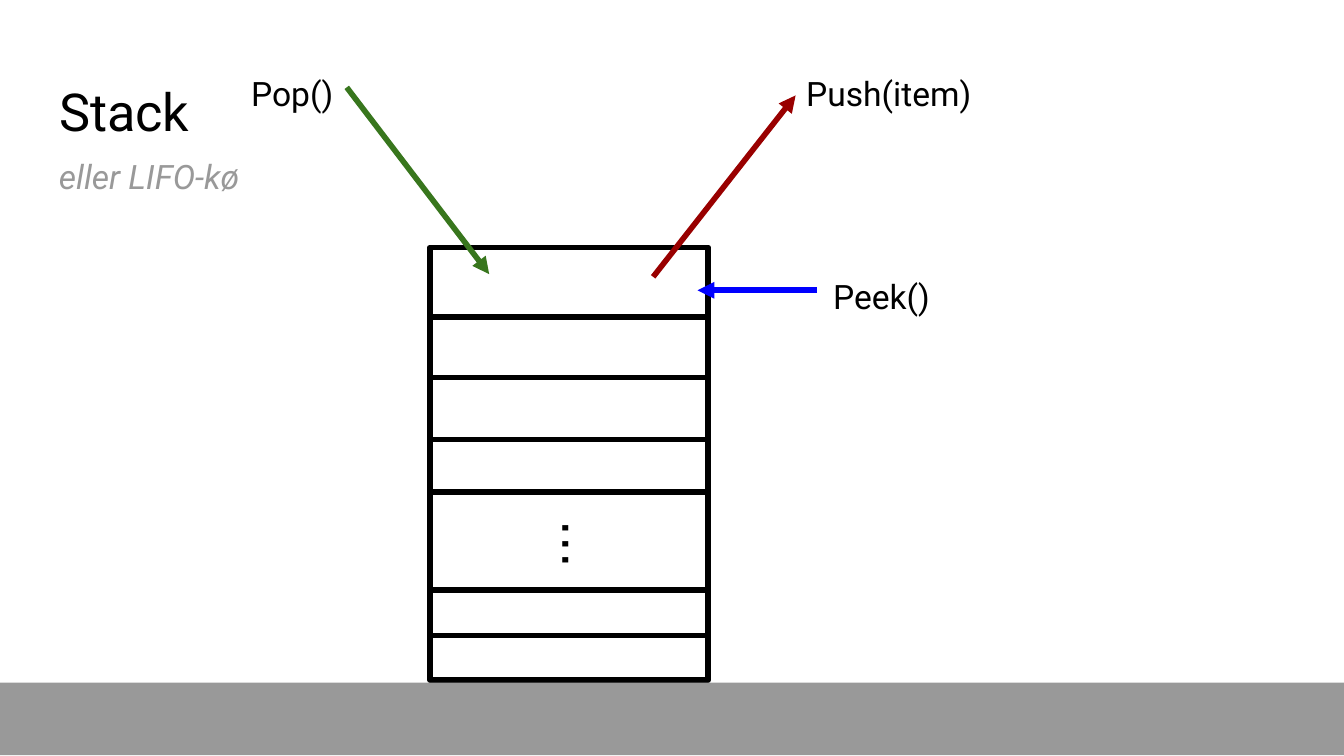
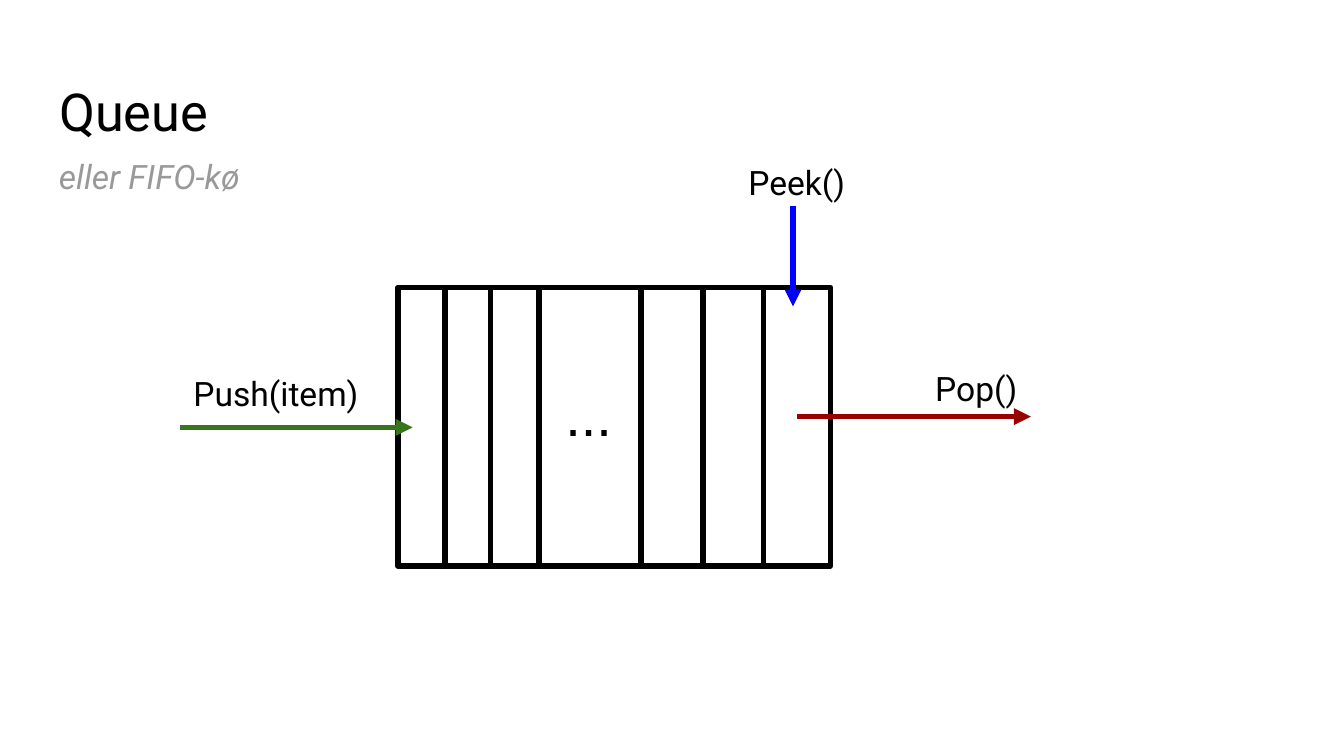
from typing import NamedTuple

from pptx import Presentation
from pptx.dml.color import RGBColor
from pptx.enum.shapes import MSO_CONNECTOR, MSO_SHAPE
from pptx.enum.text import MSO_ANCHOR, MSO_AUTO_SIZE, PP_ALIGN
from pptx.oxml.ns import qn
from pptx.util import Emu, Pt
from lxml.etree import SubElement

PX = 9144  # EMU per px, 100 px to the inch
INSET = 10
LINE_WIDTH = Pt(3)
BODY_FONT = "Roboto"
DOTS_FONT = "Arial"

BLACK = RGBColor(0x00, 0x00, 0x00)
GRAY = RGBColor(0x99, 0x99, 0x99)
GREEN = RGBColor(0x38, 0x76, 0x1D)
RED = RGBColor(0x99, 0x00, 0x00)
BLUE = RGBColor(0x00, 0x00, 0xFF)


class Box(NamedTuple):
    x: int
    y: int
    w: int
    h: int


class Operation(NamedTuple):
    label: str
    label_box: Box
    start: tuple[int, int]
    end: tuple[int, int]
    color: RGBColor


class Diagram(NamedTuple):
    title: str
    subtitle: str
    subtitle_box: Box
    container: Box
    cuts: list[int]
    vertical: bool
    dots_box: Box
    operations: list[Operation]


TITLE_BOX = Box(34, 49, 932, 63)
FLOOR = Box(0, 508, 1000, 54)

STACK = Diagram(
    "Stack", "eller LIFO-kø", Box(34, 106, 224, 63),
    container=Box(320, 184, 207, 322),
    cuts=[236, 281, 327, 366, 439, 473],
    vertical=True,
    dots_box=Box(390, 378, 106, 54),
    operations=[
        Operation("Pop()", Box(177, 40, 90, 48), (258, 65), (364, 204), GREEN),
        Operation("Push(item)", Box(590, 40, 151, 48), (486, 206), (592, 71), RED),
        Operation("Peek()", Box(610, 191, 112, 48), (608, 216), (519, 216), BLUE),
    ],
)
QUEUE = Diagram(
    "Queue", "eller FIFO-kø", Box(34, 106, 932, 63),
    container=Box(296, 214, 322, 207),
    cuts=[331, 365, 401, 477, 523, 568],
    vertical=False,
    dots_box=Box(385, 273, 106, 54),
    operations=[
        Operation("Push(item)", Box(134, 263, 151, 48), (134, 318), (307, 318), GREEN),
        Operation("Pop()", Box(686, 259, 86, 54), (593, 310), (767, 310), RED),
        Operation("Peek()", Box(547, 106, 112, 48), (590, 153), (590, 228), BLUE),
    ],
)


def emu(*lengths: int) -> list[Emu]:
    return [Emu(length * PX) for length in lengths]


def write(sp, text: str, *, size: int, color: RGBColor = BLACK, font: str = BODY_FONT,
          italic: bool = False, align=PP_ALIGN.LEFT,
          line_spacing: float = 1.0, space_after: int = 0) -> None:
    tf = sp.text_frame
    tf.word_wrap = True
    tf.auto_size = MSO_AUTO_SIZE.NONE
    tf.vertical_anchor = MSO_ANCHOR.TOP
    tf.margin_left = tf.margin_top = tf.margin_right = tf.margin_bottom = Emu(INSET * PX)
    p = tf.paragraphs[0]
    p.alignment = align
    p.line_spacing = line_spacing
    p.space_after = Pt(space_after)
    r = p.add_run()
    r.text = text
    r.font.name = font
    r.font.size = Pt(size)
    r.font.italic = italic
    r.font.color.rgb = color


def add_text(s, box: Box, text: str, **style):
    sp = s.shapes.add_textbox(*emu(*box))
    write(sp, text, **style)
    return sp


def add_title(s, text: str) -> None:
    sp = s.shapes.title
    sp.left, sp.top, sp.width, sp.height = emu(*TITLE_BOX)
    write(sp, text, size=28)


def add_rect(s, box: Box):
    sp = s.shapes.add_shape(MSO_SHAPE.RECTANGLE, *emu(*box))
    sp.shadow.inherit = False
    return sp


def add_line(s, start: tuple[int, int], end: tuple[int, int],
             color: RGBColor = BLACK, arrow: bool = False) -> None:
    line = s.shapes.add_connector(MSO_CONNECTOR.STRAIGHT, *emu(*start, *end))
    line.line.color.rgb = color
    line.line.width = LINE_WIDTH
    if arrow:
        SubElement(line.get_or_add_ln(), qn("a:tailEnd"), type="triangle")
    SubElement(line._element.spPr, qn("a:effectLst"))


def add_container(s, box: Box, cuts: list[int], vertical: bool) -> None:
    """Draw the outlined box and the lines that divide it into cells."""
    sp = add_rect(s, box)
    sp.fill.background()
    sp.line.color.rgb = BLACK
    sp.line.width = LINE_WIDTH
    SubElement(sp.get_or_add_ln() if hasattr(sp, "get_or_add_ln") else sp.line._get_or_add_ln(),
               qn("a:round"))
    for cut in cuts:
        if vertical:
            add_line(s, (box.x, cut), (box.x + box.w, cut))
        else:
            add_line(s, (cut, box.y), (cut, box.y + box.h))


def add_floor(s) -> None:
    sp = add_rect(s, FLOOR)
    sp.fill.solid()
    sp.fill.fore_color.rgb = GRAY
    sp.line.fill.background()


def add_diagram(prs, diagram: Diagram) -> None:
    s = prs.slides.add_slide(prs.slide_layouts[5])
    add_title(s, diagram.title)
    add_container(s, diagram.container, diagram.cuts, diagram.vertical)
    for op in diagram.operations:
        add_line(s, op.start, op.end, op.color, arrow=True)
        add_text(s, op.label_box, op.label, size=18, line_spacing=1.15, space_after=16)
    if diagram.vertical:
        add_floor(s)
    dots = add_text(s, diagram.dots_box, "...", size=30, font=DOTS_FONT,
                    align=PP_ALIGN.CENTER)
    dots.rotation = 90 if diagram.vertical else 0
    add_text(s, diagram.subtitle_box, diagram.subtitle, size=18, color=GRAY, italic=True)


def main() -> None:
    prs = Presentation()
    prs.slide_width = Emu(1000 * PX)
    prs.slide_height = Emu(prs.slide_width * 9 // 16)
    for diagram in (STACK, QUEUE):
        add_diagram(prs, diagram)
    prs.save("out.pptx")


if __name__ == "__main__":
    main()
